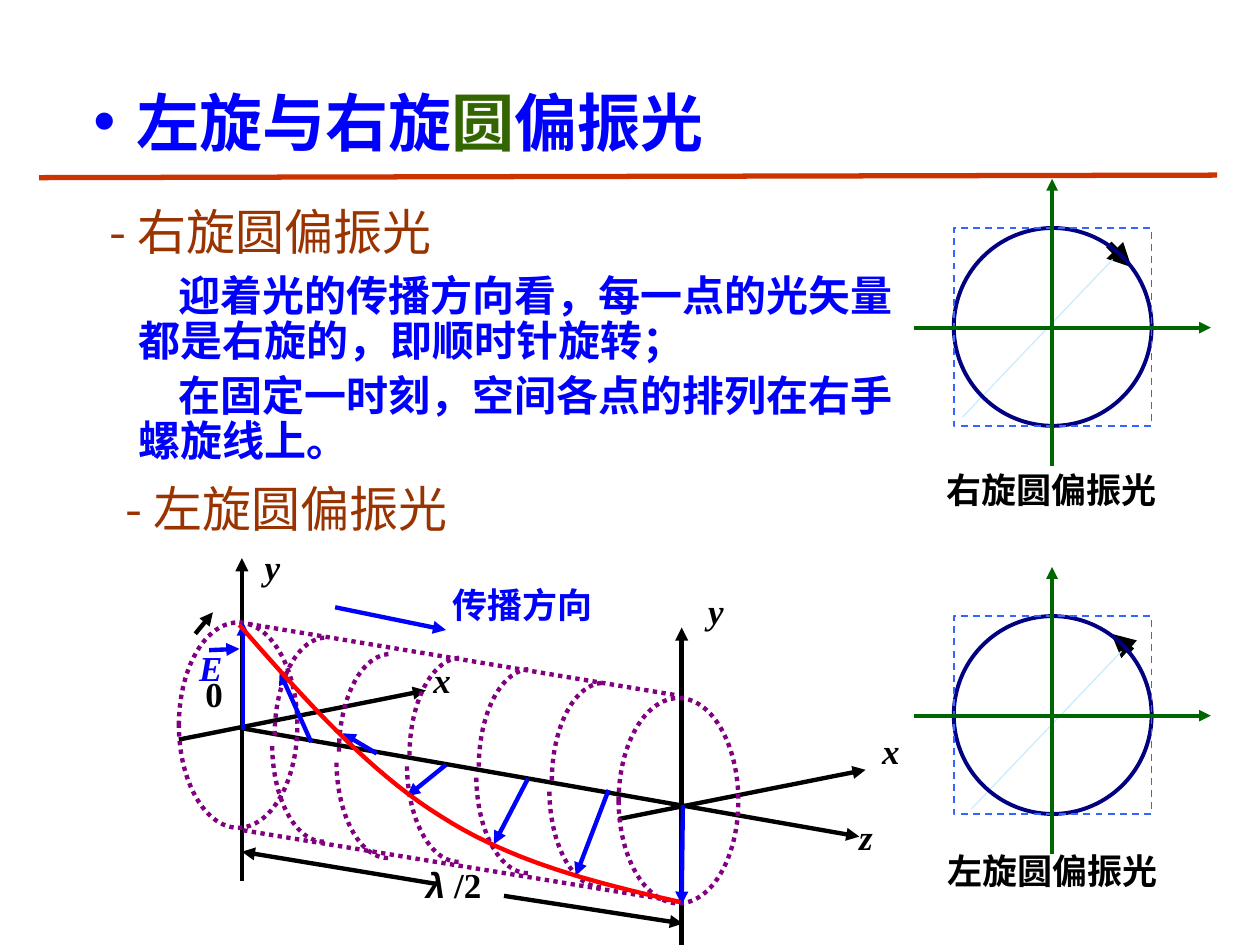
from pptx import Presentation
from pptx.util import Inches, Pt
from pptx.dml.color import RGBColor
from pptx.enum.dml import MSO_LINE
from pptx.enum.shapes import MSO_CONNECTOR, MSO_SHAPE
from pptx.enum.text import MSO_ANCHOR, PP_ALIGN
from pptx.oxml.ns import qn
from lxml import etree

STRAIGHT = MSO_CONNECTOR.STRAIGHT
ELLIPSE, RECTANGLE, ARC = MSO_SHAPE.OVAL, MSO_SHAPE.RECTANGLE, MSO_SHAPE.ARC
DOTTED, DASHED = MSO_LINE.ROUND_DOT, MSO_LINE.DASH
TOP, MIDDLE, LEFT = MSO_ANCHOR.TOP, MSO_ANCHOR.MIDDLE, PP_ALIGN.LEFT
COLORS = {
    "blue": "0000FF", "black": "000000", "brown": "993300", "green": "336600",
    "axis": "006600", "purple": "800080", "red": "FF0000", "rule": "CC3300",
    "navy": "000080", "frame": "3366FF", "pale": "CCECFF",
}
CJK, SERIF, SANS = "Noto Sans CJK SC", "Times New Roman", "Arial"

presentation = Presentation()
presentation.slide_width, presentation.slide_height = Inches(10), Inches(7.5)
slide = presentation.slides.add_slide(presentation.slide_layouts[1])
shapes = slide.shapes


def add_run(paragraph, text, size, color, font=CJK, bold=False, italic=False):
    run = paragraph.add_run()
    run.text = text
    run.font.size, run.font.name = Pt(size), font
    run.font.bold, run.font.italic = bold, italic
    run.font.color.rgb = RGBColor.from_string(COLORS[color])
    etree.SubElement(run._r.get_or_add_rPr(), qn("a:ea"), typeface=CJK)


def add_line(x1, y1, x2, y2, color, width=2.5, arrow=True, dash=None):
    connector = shapes.add_connector(STRAIGHT, *map(Inches, (x1, y1, x2, y2)))
    connector.line.color.rgb = RGBColor.from_string(COLORS[color])
    connector.line.width = Pt(width)
    if dash:
        connector.line.dash_style = dash
    if arrow:
        etree.SubElement(connector.line._get_or_add_ln(), qn("a:tailEnd"), type="triangle")
    etree.SubElement(connector._element.spPr, qn("a:effectLst"))


title = shapes.title
title.left, title.top, title.width, title.height = map(Inches, (0.64, 0.61, 5.6, 0.7))
title.text_frame.vertical_anchor = MIDDLE
paragraph = title.text_frame.paragraphs[0]
paragraph.alignment = LEFT
properties = paragraph._p.get_or_add_pPr()
properties.set("marL", str(Inches(0.34)))
properties.set("indent", str(-Inches(0.34)))
bullet_color = etree.SubElement(properties, qn("a:buClr"))
etree.SubElement(bullet_color, qn("a:srgbClr"), val=COLORS["blue"])
etree.SubElement(properties, qn("a:buFont"), typeface=SANS)
etree.SubElement(properties, qn("a:buChar"), char="•")
for text, color in [("左旋与右旋", "blue"), ("圆", "green"), ("偏振光", "blue")]:
    add_run(paragraph, text, 36, color, bold=True)

body = slide.placeholders[1]
body.left, body.top, body.width, body.height = map(Inches, (0.42, 1.42, 7, 2.44))
body.text_frame.vertical_anchor = TOP
body_rows = [
    ("- 右旋圆偏振光", 28, "brown", False, 0.35, 0, 43, 0),
    ("迎着光的传播方向看，每一点的光矢量都是右旋的，即顺时针旋转；",
     24, "blue", True, 0.58, 0.32, 25.7, 8),
    ("在固定一时刻，空间各点的排列在右手螺旋线上。",
     24, "blue", True, 0.58, 0.32, 25.7, 6),
]
for index, (text, size, color, bold, margin, indent, spacing, before) in enumerate(body_rows):
    frame = body.text_frame
    paragraph = frame.add_paragraph() if index else frame.paragraphs[0]
    properties = paragraph._p.get_or_add_pPr()
    properties.set("marL", str(Inches(margin)))
    properties.set("indent", str(Inches(indent)))
    etree.SubElement(properties, qn("a:buNone"))
    paragraph.line_spacing, paragraph.space_before = Pt(spacing), Pt(before)
    add_run(paragraph, text, size, color, bold=bold)

subheading = shapes.add_textbox(*map(Inches, (0.9, 3.75, 2.95, 0.57)))
subheading.text_frame.word_wrap = False
subheading.text_frame.vertical_anchor = MIDDLE
add_run(subheading.text_frame.paragraphs[0], "- 左旋圆偏振光", 28, "brown")

add_line(0.31, 1.41, 9.66, 1.39, "rule", 3, arrow=False)

add_line(2.66, 4.82, 3.54, 5, "blue")
for axis in [
    (1.42, 5.87, 3.38, 5.48), (1.92, 6.99, 1.92, 4.43), (4.91, 6.5, 6.87, 6.11),
    (5.41, 7.5, 5.41, 4.98), (1.92, 5.78, 6.82, 6.64),
]:
    add_line(*axis, "black")
add_line(1.9, 4.94, 5.38, 5.52, "purple", arrow=False, dash=DOTTED)
add_line(1.93, 6.59, 5.41, 7.16, "purple", arrow=False, dash=DOTTED)

outlines = [
    (ELLIPSE, 1.42, 4.94, 0.94, 1.63, "purple", 2.5, DOTTED, None),
    (ELLIPSE, 4.91, 5.54, 0.95, 1.63, "purple", 2.5, DOTTED, None),
]
for left, top in [(2.18, 5.06), (2.69, 5.19), (3.25, 5.22), (3.8, 5.31), (4.38, 5.42)]:
    outlines.append((ARC, left, top, 0.82, 1.55, "purple", 2.5, DOTTED, (108, 162)))
    outlines.append((ARC, left - 0.02, top + 0.07, 0.82, 1.55, "purple", 2.5, DOTTED, (54, 108)))

panels = [(2.6, (8.8, 1.94, 8.98, 2.12), (7.64, 3.31, 8.83, 2.06)),
          (5.68, (8.98, 5.17, 8.82, 5.03), (7.71, 6.42, 8.9, 5.17))]
for center, rotation, diagonal in panels:
    add_line(*rotation, "black", 4.5)
    add_line(*diagonal, "pale", 0.75, arrow=False)
    outlines.append((ELLIPSE, 7.57, center - 0.79, 1.57, 1.57, "navy", 2.25, None, None))
    outlines.append((RECTANGLE, 7.57, center - 0.79, 1.57, 1.57, "frame", 1, DASHED, None))

for kind, left, top, width, height, color, weight, dash, angles in outlines:
    shape = shapes.add_shape(kind, *map(Inches, (left, top, width, height)))
    shape.shadow.inherit = False
    shape.fill.background()
    shape.line.color.rgb = RGBColor.from_string(COLORS[color])
    shape.line.width = Pt(weight)
    if dash:
        shape.line.dash_style = dash
    if angles:
        shape.adjustments[0], shape.adjustments[1] = angles

for center, rotation, diagonal in panels:
    add_line(7.25, center, 9.61, center, "axis", 2.25)
    add_line(8.35, center + 1.1, 8.35, center - 1.18, "axis", 2.25)

for vector in [
    (1.93, 5.79, 1.93, 4.94), (2.47, 5.89, 2.22, 5.33), (2.99, 5.98, 2.72, 5.82),
    (3.54, 6.07, 3.23, 6.32), (4.19, 6.18, 3.92, 6.7), (4.83, 6.27, 4.57, 6.95),
    (5.42, 6.39, 5.41, 7.18), (1.66, 5.16, 1.9, 5.15),
]:
    add_line(*vector, "blue")
add_line(1.55, 5.03, 1.69, 4.86, "black")

helix_points = []
for segment in [
    ((1.9, 4.96), (2.41, 5.54), (2.92, 6.12), (3.5, 6.48)),
    ((3.5, 6.48), (4.08, 6.85), (4.74, 7.01), (5.4, 7.16)),
]:
    for step in range(21):
        t = step / 20
        weights = ((1 - t) ** 3, 3 * t * (1 - t) ** 2, 3 * t ** 2 * (1 - t), t ** 3)
        helix_points.append(tuple(
            Inches(sum(weight * point[axis] for weight, point in zip(weights, segment)))
            for axis in (0, 1)))
builder = shapes.build_freeform(*helix_points[0])
builder.add_line_segments(helix_points[1:], close=False)
helix = builder.convert_to_shape()
helix.shadow.inherit = False
helix.fill.background()
helix.line.color.rgb = RGBColor.from_string(COLORS["red"])
helix.line.width = Pt(2.5)

add_line(4, 7.11, 5.42, 7.33, "black")
add_line(3.49, 7.02, 1.92, 6.76, "black")

labels = [
    (2.09, 4.32, 0.45, [("y", SERIF, True)], "black"),
    (5.61, 4.67, 0.45, [("y", SERIF, True)], "black"),
    (6.99, 5.78, 0.31, [("x", SERIF, True)], "black"),
    (3.43, 5.22, 0.43, [("x", SERIF, True)], "black"),
    (6.81, 6.46, 0.4, [("z", SERIF, True)], "black"),
    (1.57, 5.12, 0.37, [("E", SERIF, True)], "blue"),
    (1.62, 5.33, 0.3, [("0", SERIF, False)], "black"),
    (3.37, 6.84, 0.75, [("λ", SANS, True), (" /2", SERIF, False)], "black"),
    (3.58, 4.62, 1.61, [("传播方向", SERIF, False)], "blue"),
    (7.5, 3.71, 1.91, [("右旋圆偏振光", SERIF, False)], "black"),
    (7.51, 6.73, 1.91, [("左旋圆偏振光", SERIF, False)], "black"),
]
for left, top, width, runs, color in labels:
    label = shapes.add_textbox(*map(Inches, (left, top, width, 0.44)))
    frame = label.text_frame
    frame.word_wrap = True
    frame.margin_left = frame.margin_right = Inches(0.01)
    frame.margin_top = frame.margin_bottom = Inches(0.01)
    for text, font, italic in runs:
        add_run(frame.paragraphs[0], text, 20, color, font, True, italic)

presentation.save("out.pptx")
